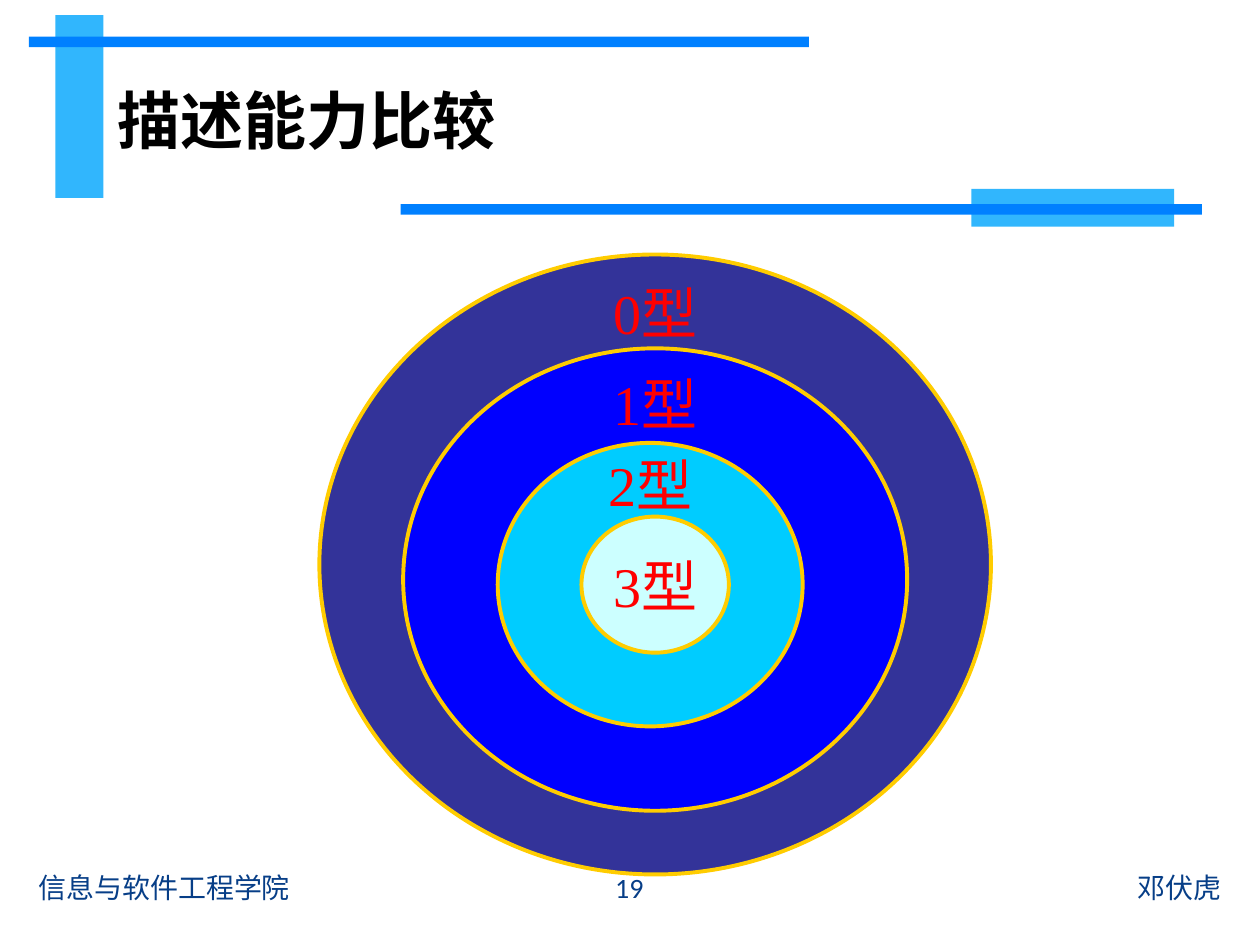
import pptx
import pptx.util
import pptx.dml.color
import pptx.enum.shapes
import pptx.enum.text

ALIGN = pptx.enum.text.PP_ALIGN
SHAPE = pptx.enum.shapes.MSO_SHAPE

presentation = pptx.Presentation()
presentation.slide_width = pptx.util.Inches(10)
presentation.slide_height = pptx.util.Inches(7.5)
column = presentation.slide_width / 100
row = presentation.slide_height / 75
slide = presentation.slides.add_slide(presentation.slide_layouts[5])


def add_filled(kind, left, top, width, height, fill):
    """Add a preset shape, measured in columns and rows, without line or shadow."""
    shape = slide.shapes.add_shape(
        kind, int(left * column), int(top * row), int(width * column), int(height * row))
    shape.shadow.inherit = False
    shape.fill.solid()
    shape.fill.fore_color.rgb = pptx.dml.color.RGBColor.from_string(fill)
    shape.line.fill.background()
    return shape


def write(shape, text, size, font, color, align, bold=False):
    frame = shape.text_frame
    frame.word_wrap = True
    frame.vertical_anchor = pptx.enum.text.MSO_ANCHOR.MIDDLE
    paragraph = frame.paragraphs[0]
    paragraph.alignment = align
    run = paragraph.add_run()
    run.text = text
    run.font.size = pptx.util.Pt(size)
    run.font.name = font
    run.font.bold = bold
    run.font.color.rgb = pptx.dml.color.RGBColor.from_string(color)


# Decorative bars around the title
for left, top, width, height, fill in [
    (4.4, 1.2, 3.8, 14.5, "31B6FD"),
    (2.3, 2.9, 61.9, 0.85, "0080FF"),
    (77.1, 15, 16.1, 3, "31B6FD"),
    (31.8, 16.2, 63.6, 0.85, "0080FF"),
]:
    add_filled(SHAPE.RECTANGLE, left, top, width, height, fill)

# Footer: author, school, slide number
for text, left, width, align in [
    ("邓伏虎", 56.5, 41.4, ALIGN.RIGHT),
    ("信息与软件工程学院", 2.1, 41.4, ALIGN.LEFT),
    ("19", 43.6, 12.7, ALIGN.CENTER),
]:
    footer = slide.shapes.add_textbox(
        int(left * column), int(68.4 * row), int(width * column), int(4 * row))
    write(footer, text, 16, "Calibri", "073E87", align)

title = slide.shapes.title
title.left, title.top = int(8.3 * column), int(4.4 * row)
title.width, title.height = int(77.2 * column), int(10.2 * row)
write(title, "描述能力比较", 36, "Arial", "000000", ALIGN.LEFT, bold=True)

# Nested grammar types, outermost first: centre, size, fill, label centre
label_width, label_height = 12, 6
for level, (center_x, center_y, width, height, fill, label_y) in enumerate([
    (52, 44.8, 53.3, 49.2, "333399", 24.8),
    (52, 46, 40, 36.7, "0000FF", 32),
    (51.6, 46.4, 24.2, 22.5, "00CCFF", 38.4),
    (52, 46.4, 11.7, 10.8, "CCFFFF", 46.4),
]):
    ellipse = add_filled(SHAPE.OVAL, center_x - width / 2, center_y - height / 2,
                         width, height, fill)
    ellipse.line.color.rgb = pptx.dml.color.RGBColor.from_string("FFCC00")
    ellipse.line.width = pptx.util.Pt(2.25)
    label = slide.shapes.add_textbox(
        int((center_x - label_width / 2) * column), int((label_y - label_height / 2) * row),
        int(label_width * column), int(label_height * row))
    label.text_frame.margin_top = label.text_frame.margin_bottom = 0
    write(label, f"{level}型", 32, "Times New Roman", "FF0000", ALIGN.CENTER)

presentation.save("out.pptx")
